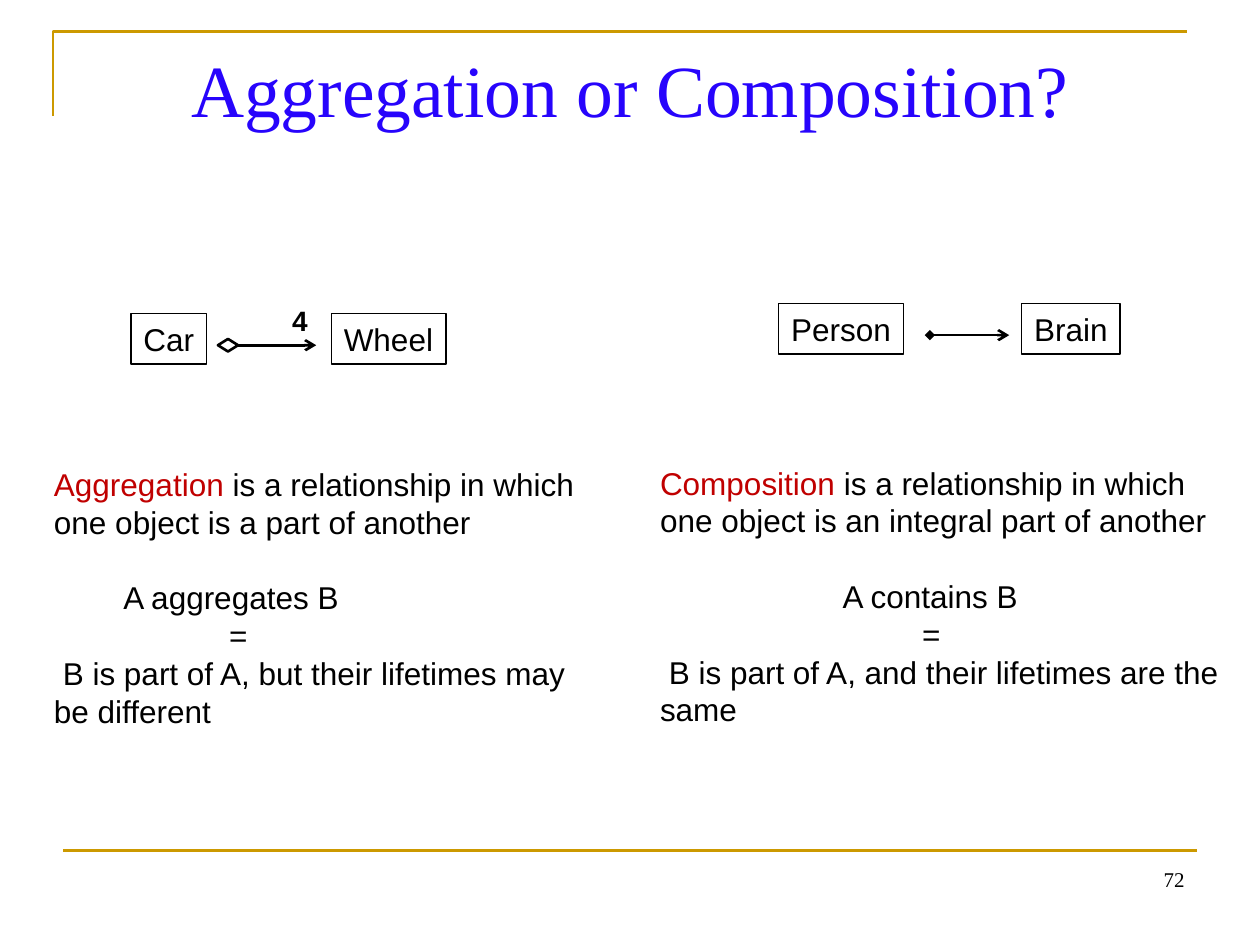
from lxml import etree
from pptx import Presentation
from pptx import util as u
from pptx.dml.color import RGBColor
from pptx.enum import shapes, text
from pptx.oxml.ns import qn

COLORS = {"ink": "000000", "title": "2704FC", "term": "C00000", "rule": "CC9900"}
LINE_PITCH = 21.6


def color(name):
    return RGBColor.from_string(COLORS[name])


def write(shape, paragraphs, font="Arial", size=18, tone="ink", bold=False,
          align=text.PP_ALIGN.LEFT, anchor=text.MSO_ANCHOR.TOP, wrap=True, pitch=None):
    """Each paragraph is (runs, first-line indent, space before); a run is (words, color)."""
    frame = shape.text_frame
    frame.word_wrap = wrap
    frame.vertical_anchor = anchor
    for index, (runs, indent, before) in enumerate(paragraphs):
        para = frame.paragraphs[0] if index == 0 else frame.add_paragraph()
        para.alignment = align
        if pitch:
            para.line_spacing = u.Pt(pitch)
        if before:
            para.space_before = u.Pt(before)
        if indent:
            props = para._p.get_or_add_pPr()
            props.set("marL", "0")
            props.set("indent", str(u.Inches(indent)))
        for words, run_tone in runs:
            span = para.add_run()
            span.text = words
            span.font.name = font
            span.font.size = u.Pt(size)
            span.font.bold = bold
            span.font.color.rgb = color(run_tone or tone)


def plain(words):
    return [([(words, None)], 0, 0)]


def add_text(page, box, paragraphs, **style):
    shape = page.shapes.add_textbox(*map(u.Inches, box))
    write(shape, paragraphs, **style)


def add_outline(page, kind, box, weight):
    shape = page.shapes.add_shape(kind, *map(u.Inches, box))
    shape.shadow.inherit = False
    shape.fill.background()
    shape.line.color.rgb = color("ink")
    shape.line.width = u.Pt(weight)
    return shape


def add_line(page, start, end, tone, head=None, tail=None):
    line = page.shapes.add_connector(
        shapes.MSO_CONNECTOR.STRAIGHT, *map(u.Inches, (*start, *end)))
    line.line.color.rgb = color(tone)
    line.line.width = u.Pt(1.5)
    for tag, kind in (("a:headEnd", head), ("a:tailEnd", tail)):
        if kind:
            etree.SubElement(line.line._get_or_add_ln(), qn(tag), type=kind)
    etree.SubElement(line._element.spPr, qn("a:effectLst"))


def draw_frame(page):
    # Corner rule at the top, straight rule at the bottom
    builder = page.shapes.build_freeform(u.Inches(0.42), u.Inches(0.92))
    builder.add_line_segments(
        [(u.Inches(0.42), u.Inches(0.25)), (u.Inches(9.42), u.Inches(0.25))], close=False)
    corner = builder.convert_to_shape()
    corner.shadow.inherit = False
    corner.fill.background()
    corner.line.color.rgb = color("rule")
    corner.line.width = u.Pt(1.5)
    add_line(page, (0.5, 6.75), (9.5, 6.75), "rule")

    # Title and page number
    add_text(page, (0.5, 0.3, 9, 1.25), plain("Aggregation or Composition?"),
             font="Times New Roman", size=42, tone="title", align=text.PP_ALIGN.CENTER)
    add_text(page, (7.17, 6.83, 2.33, 0.52), plain("72"),
             font="Times New Roman", size=12, align=text.PP_ALIGN.RIGHT)


def draw_class(page, box, name):
    shape = add_outline(page, shapes.MSO_SHAPE.RECTANGLE, box, 0.75)
    write(shape, plain(name), wrap=False, pitch=LINE_PITCH)


def draw_aggregation(page, left, top):
    draw_class(page, (left, top, 0.6, 0.4), "Car")
    draw_class(page, (left + 1.59, top, 0.91, 0.4), "Wheel")
    add_line(page, (left + 0.85, top + 0.25), (left + 1.47, top + 0.25), "ink", tail="arrow")
    add_outline(page, shapes.MSO_SHAPE.DIAMOND, (left + 0.69, top + 0.2, 0.16, 0.1), 1.5)
    add_text(page, (left + 1.18, top - 0.13, 0.32, 0.37), plain("4"),
             size=16, bold=True, wrap=False)


def draw_composition(page, left, top):
    draw_class(page, (left, top, 0.99, 0.4), "Person")
    draw_class(page, (left + 1.93, top, 0.78, 0.4), "Brain")
    add_line(page, (left + 1.2, top + 0.25), (left + 1.83, top + 0.25), "ink",
             head="diamond", tail="arrow")


def draw_definition(page, box, term, meaning, formula, formula_indent, equals_indent, result):
    add_text(page, box, [
        ([(term, "term"), (meaning, None)], 0, 0),
        ([(formula, None)], formula_indent, LINE_PITCH),
        ([("=", None)], equals_indent, 0),
        ([(result, None)], 0.07, 0),
    ], anchor=text.MSO_ANCHOR.MIDDLE, pitch=LINE_PITCH)


def main():
    deck = Presentation()
    deck.slide_width, deck.slide_height = u.Inches(10), u.Inches(7.5)
    page = deck.slides.add_slide(deck.slide_layouts[6])

    draw_frame(page)
    draw_definition(page, (0.33, 3.64, 4.49, 2.2), "Aggregation",
                    " is a relationship in which one object is a part of another",
                    "A aggregates B", 0.55, 1.39,
                    "B is part of A, but their lifetimes may be different")
    draw_definition(page, (5.14, 3.63, 4.73, 2.2), "Composition",
                    " is a relationship in which one object is an integral part of another",
                    "A contains B", 1.45, 2.08,
                    "B is part of A, and their lifetimes are the same")
    draw_aggregation(page, 1.04, 2.49)
    draw_composition(page, 6.18, 2.41)
    deck.save("out.pptx")


if __name__ == "__main__":
    main()
